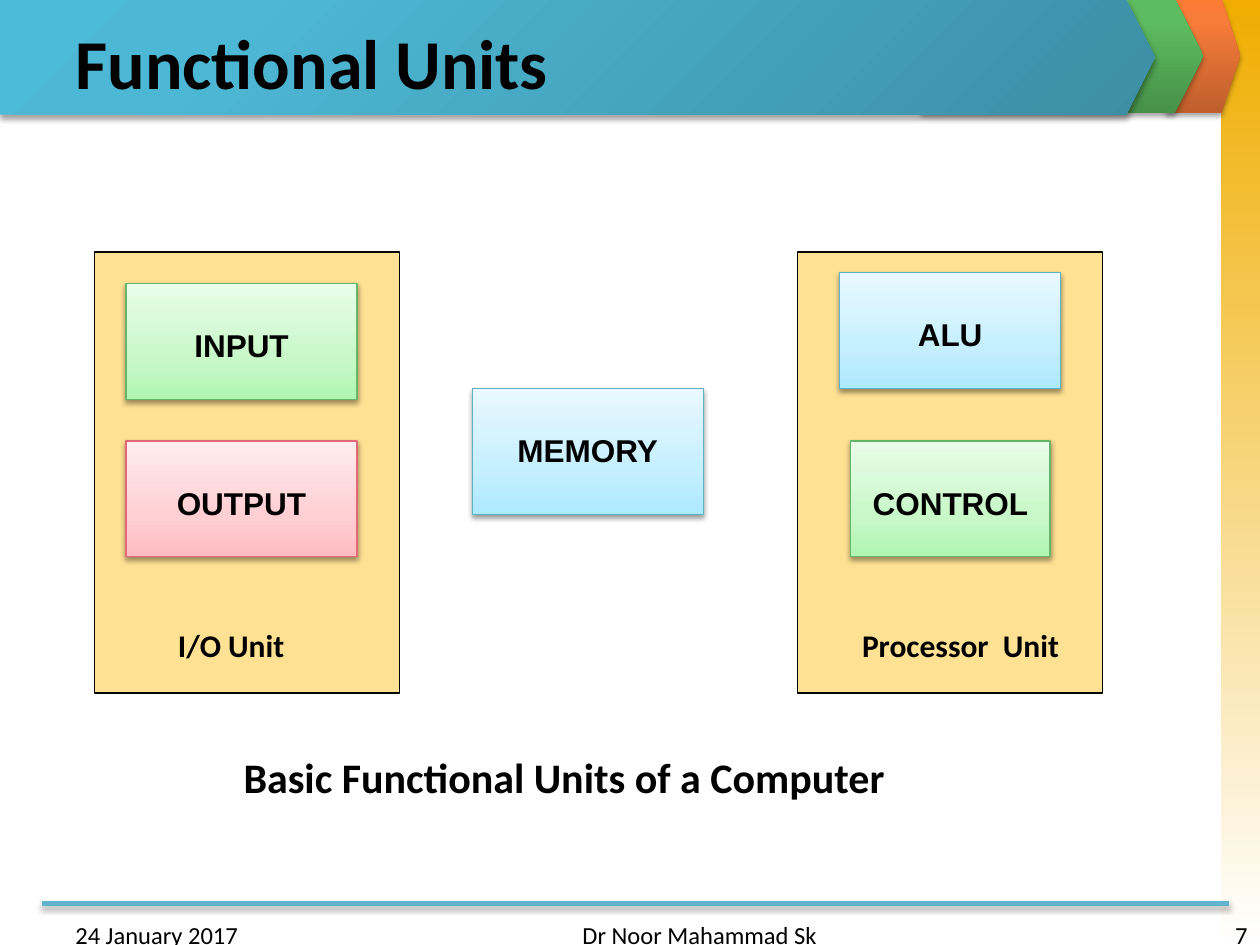
from copy import deepcopy
from lxml import etree
from pptx import Presentation
from pptx import util as u
from pptx.dml.color import RGBColor
from pptx.enum import shapes, text
from pptx.oxml.ns import qn

BLACK = RGBColor(0, 0, 0)
SAND = RGBColor(0xFF, 0xE1, 0x93)
TEAL = RGBColor(0x60, 0xB5, 0xCC)
GREEN_LINE = RGBColor(0x67, 0xB5, 0x69)
RED_LINE = RGBColor(0xE4, 0x67, 0x78)
BLUE_LINE = RGBColor(0x5B, 0xB3, 0xCA)


def stops(middle, *colors):
    return list(zip((0, middle, 1), map(RGBColor.from_string, colors)))


GOLD_FADE = [(0, RGBColor(0xF0, 0xAD, 0x00)), (1, RGBColor(0xFF, 0xFF, 0xFF))]
ORANGE_FADE = stops(0.8, "BE5F2C", "F77B39", "FC7B35")
LEAF_FADE = stops(0.8, "479149", "5DBC5F", "5BBF5E")
TEAL_FADE = stops(0.8, "3C8EA4", "4DB8D5", "4BBBD9")
GREEN = (stops(0.35, "B0F6B1", "C8F8C8", "E9FDE9"), GREEN_LINE)
RED = (stops(0.35, "FFBCC2", "FFCFD3", "FFEDEE"), RED_LINE)
BLUE = (stops(0.35, "ADE9FF", "C5EFFF", "E9F9FF"), BLUE_LINE)

TITLE = "Functional Units"
CHEVRONS = [
    ((23.5, -0.03, 1.5, 2.31), ORANGE_FADE),
    ((18.57, -0.03, 5.69, 2.31), LEAF_FADE),
    ((0, 0, 23.28, 2.31), TEAL_FADE),
]
PANELS = [(1.9, 5.08, 6.15, 8.89), (16.08, 5.08, 6.15, 8.89)]
UNITS = [
    ("INPUT", (2.54, 5.72, 4.66, 2.33), GREEN),
    ("OUTPUT", (2.54, 8.89, 4.66, 2.33), RED),
    ("MEMORY", (9.52, 7.83, 4.66, 2.54), BLUE),
    ("ALU", (16.93, 5.5, 4.45, 2.33), BLUE),
    ("CONTROL", (17.15, 8.89, 4.02, 2.33), GREEN),
]
LEFT, CENTER, RIGHT = text.PP_ALIGN.LEFT, text.PP_ALIGN.CENTER, text.PP_ALIGN.RIGHT
LABELS = [
    ("I/O Unit", (3.18, 12.5, 2.96, 1.03), 18, True, CENTER),
    ("Processor  Unit", (16.93, 12.5, 4.87, 1.03), 18, True, CENTER),
    ("Basic Functional Units of a Computer", (4.66, 15.03, 14.05, 1.28), 24, True, LEFT),
    ("24 January 2017", (1.27, 18.42, 5.93, 0.64), 14, False, LEFT),
    ("Dr Noor Mahammad Sk", (8.68, 18.42, 8.04, 0.64), 14, False, RIGHT),
    ("7", (19.47, 18.42, 5.93, 0.64), 14, False, RIGHT),
]


def place(box):
    return [u.Cm(v) for v in box]


def write(tf, words, size, bold, align, font="Calibri"):
    tf.word_wrap = True
    p = tf.paragraphs[0]
    p.text = words
    p.alignment = align
    p.font.name, p.font.size, p.font.bold = font, u.Pt(size), bold
    p.font.color.rgb = BLACK


def set_effect(sp, alpha=0, dist=1.8):
    effects = etree.SubElement(sp._element.spPr, qn("a:effectLst"))
    if alpha:
        shadow = etree.SubElement(
            effects, qn("a:outerShdw"), blurRad=str(u.Pt(3.1)), dist=str(u.Pt(dist)),
            dir="5400000", algn="t", rotWithShape="0")
        color = etree.SubElement(shadow, qn("a:srgbClr"), val="000000")
        etree.SubElement(color, qn("a:alpha"), val=str(alpha * 1000))


def set_gradient(sp, fade, angle=90):
    sp.fill.gradient()
    sp.fill.gradient_angle = angle
    stop_list = next(sp._element.spPr.iter(qn("a:gsLst")))
    for _ in fade[2:]:
        stop_list.append(deepcopy(stop_list[0]))
    for stop, (position, color) in zip(sp.fill.gradient_stops, fade):
        stop.position = position
        stop.color.rgb = color


def set_radial(sp):
    lin = next(sp._element.spPr.iter(qn("a:lin")))
    radial = etree.Element(qn("a:path"), {"path": "circle"})
    etree.SubElement(radial, qn("a:fillToRect"), l="100000", t="100000")
    lin.getparent().replace(lin, radial)


def add_box(slide, kind, box, line=None):
    sp = slide.shapes.add_shape(kind, *place(box))
    if line is None:
        sp.line.fill.background()
    else:
        sp.line.color.rgb = line
        sp.line.width = u.Pt(0.75)
    return sp


def add_frame(slide):
    side = add_box(slide, shapes.MSO_SHAPE.RECTANGLE, (24.61, 0, 0.79, 19.05))
    set_gradient(side, GOLD_FADE, 270)
    set_effect(side)
    for box, fade in CHEVRONS:
        sp = add_box(slide, shapes.MSO_SHAPE.PENTAGON, box)
        sp.adjustments[0] = 0.25
        set_gradient(sp, fade)
        set_effect(sp, 35)
    set_radial(sp)
    rule = slide.shapes.add_connector(
        shapes.MSO_CONNECTOR.STRAIGHT, *place((0.84, 18.21, 24.77, 18.21)))
    rule.line.color.rgb = TEAL
    rule.line.width = u.Pt(3)
    set_effect(rule, 35)


def add_title(slide):
    title = slide.shapes.title
    title.left, title.top, title.width, title.height = place((1.27, 0.36, 22.86, 1.75))
    write(title.text_frame, TITLE, 40, True, LEFT)
    title.text_frame.vertical_anchor = text.MSO_ANCHOR.MIDDLE
    slide.shapes._spTree.append(title._element)


def add_units(slide):
    for box in PANELS:
        sp = add_box(slide, shapes.MSO_SHAPE.RECTANGLE, box, BLACK)
        sp.fill.solid()
        sp.fill.fore_color.rgb = SAND
        set_effect(sp)
    for name, box, (fade, line) in UNITS:
        sp = add_box(slide, shapes.MSO_SHAPE.RECTANGLE, box, line)
        set_gradient(sp, fade)
        set_effect(sp, 38, 1.6)
        tf = sp.text_frame
        tf.vertical_anchor = text.MSO_ANCHOR.TOP
        tf.margin_top = u.Cm(0.86)
        write(tf, name, 18, True, CENTER, "Arial")


def main():
    prs = Presentation()
    prs.slide_width, prs.slide_height = u.Cm(25.4), u.Cm(19.05)
    slide = prs.slides.add_slide(prs.slide_layouts[5])
    add_frame(slide)
    add_title(slide)
    add_units(slide)
    for words, box, size, bold, align in LABELS:
        label = slide.shapes.add_textbox(*place(box))
        write(label.text_frame, words, size, bold, align)
    prs.save("out.pptx")


if __name__ == "__main__":
    main()
